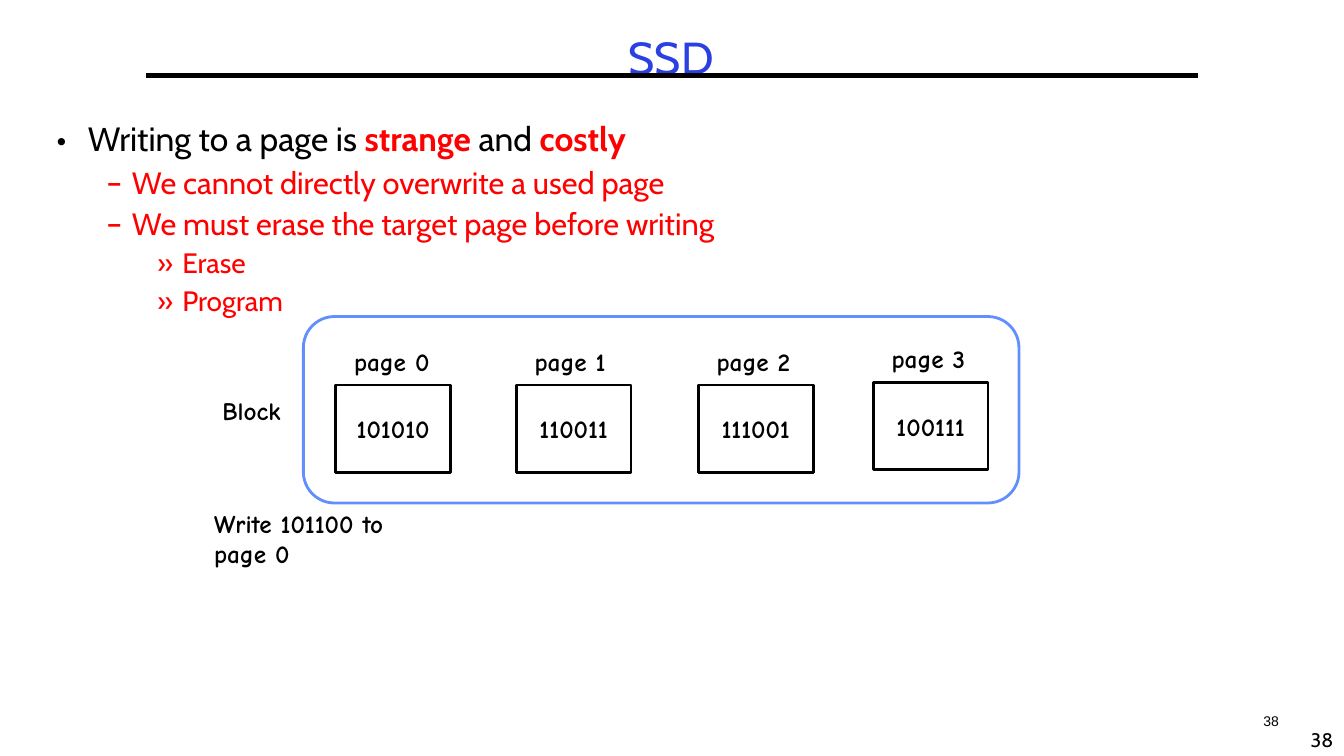
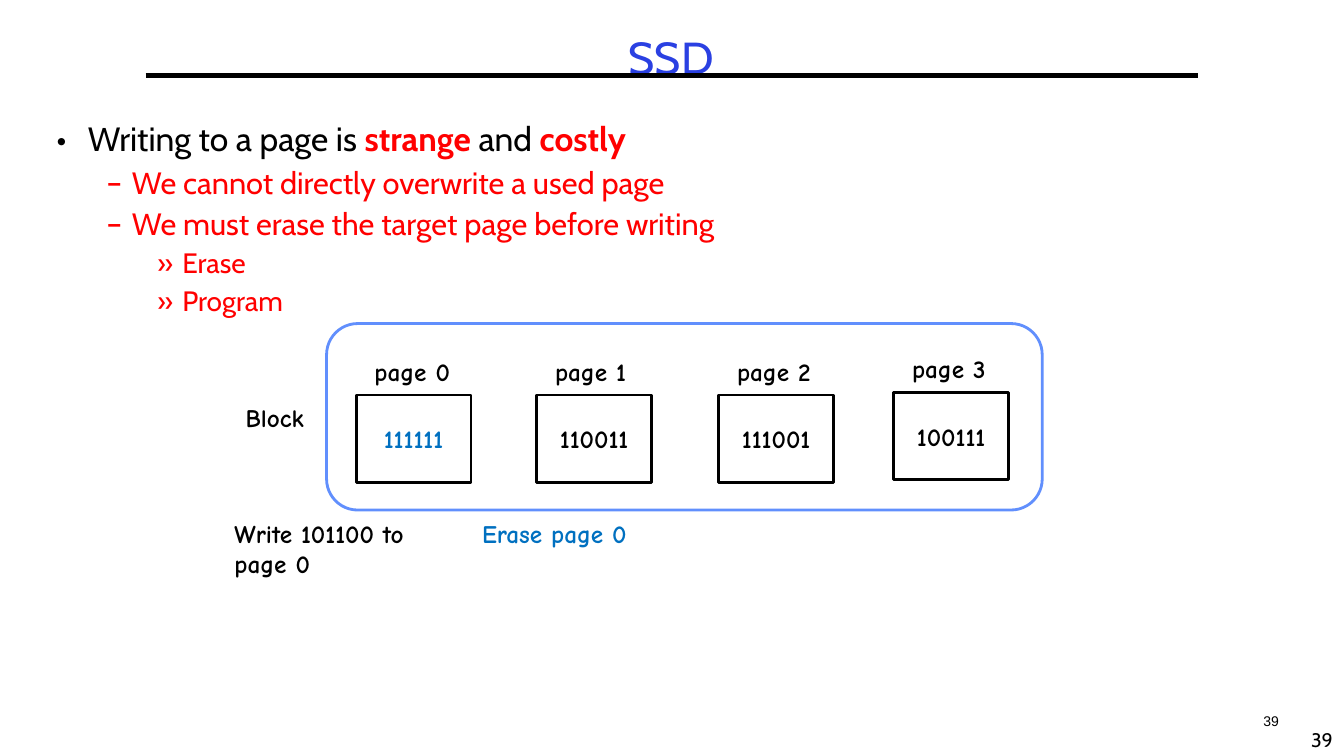
from lxml import etree
from pptx import Presentation
from pptx.dml.color import RGBColor
from pptx.enum import shapes, text
from pptx.oxml import ns
from pptx.util import Pt

BLACK = RGBColor(0x00, 0x00, 0x00)
WHITE = RGBColor(0xFF, 0xFF, 0xFF)
RED = RGBColor(0xFF, 0x00, 0x00)
TITLE_BLUE = RGBColor(0x2A, 0x40, 0xE2)
BLOCK_BLUE = RGBColor(0x61, 0x8F, 0xFD)
CHANGE_BLUE = RGBColor(0x00, 0x70, 0xC0)
MAIN_FONT = "Cabin"
DIAGRAM_FONT = "Comic Neue"
NUMBER_FONT = "Arial"

LEVELS = [("•", 22.5, 22.5, 24), ("–", 54, 18, 22), ("»", 90, 18, 20)]
POINTS = [
    (0, [("Writing to a page is ", BLACK, False), ("strange ", RED, True),
         ("and ", BLACK, False), ("costly", RED, True)]),
    (1, [("We cannot directly overwrite a used page", RED, False)]),
    (1, [("We must erase the target page before writing", RED, False)]),
    (2, [("Erase", RED, False)]),
    (2, [("Program", RED, False)]),
]
PAGE_OFFSETS = [(0, 0), (129, 0), (259, 0), (384, -2)]
PAGE_SIZE = (82, 62.6)
BLOCK_SIZE = (511.2, 133.2)


def place(part, left, top, width, height):
    part.left, part.top = Pt(left), Pt(top)
    part.width, part.height = Pt(width), Pt(height)


def add_run(paragraph, words, font, size, color=BLACK, bold=False):
    run = paragraph.add_run()
    run.text = words
    run.font.name = font
    run.font.size = Pt(size)
    run.font.color.rgb = color
    run.font.bold = bold


def add_label(slide, box, words, color=BLACK, font=DIAGRAM_FONT, size=18,
              bold=True, align=text.PP_ALIGN.LEFT, wrap=True):
    frame = slide.shapes.add_textbox(*map(Pt, box)).text_frame
    frame.word_wrap = wrap
    frame.paragraphs[0].alignment = align
    add_run(frame.paragraphs[0], words, font, size, color, bold)


def add_outline(slide, kind, box, color):
    outline = slide.shapes.add_shape(kind, *map(Pt, box))
    outline.shadow.inherit = False
    outline.fill.solid()
    outline.fill.fore_color.rgb = WHITE
    outline.line.color.rgb = color
    outline.line.width = Pt(2)
    return outline


def add_frame(slide, number):
    rule = slide.shapes.add_connector(shapes.MSO_CONNECTOR.STRAIGHT,
                                      Pt(104), Pt(54), Pt(856), Pt(54))
    rule.line.color.rgb = BLACK
    rule.line.width = Pt(3)
    etree.SubElement(rule._element.spPr, ns.qn("a:effectLst"))
    for box, font, size in [((928.8, 516.2, 31, 24), MAIN_FONT, 14),
                            ((890, 505.4, 36, 28.8), NUMBER_FONT, 10)]:
        add_label(slide, box, str(number), font=font, size=size, bold=False,
                  align=text.PP_ALIGN.CENTER, wrap=False)


def fill_title(title, box):
    place(title, *box)
    frame = title.text_frame
    frame.auto_size = text.MSO_AUTO_SIZE.NONE
    paragraph = frame.paragraphs[0]
    paragraph.alignment = text.PP_ALIGN.CENTER
    paragraph.line_spacing = 0.9
    add_run(paragraph, "SSD", MAIN_FONT, 32, TITLE_BLUE)


def fill_points(body, box):
    place(body, *box)
    frame = body.text_frame
    frame.auto_size = text.MSO_AUTO_SIZE.NONE
    for index, (level, runs) in enumerate(POINTS):
        paragraph = frame.add_paragraph() if index else frame.paragraphs[0]
        mark, margin, hanging, size = LEVELS[level]
        properties = paragraph._p.get_or_add_pPr()
        properties.set("marL", str(Pt(margin)))
        properties.set("indent", str(-Pt(hanging)))
        etree.SubElement(properties, ns.qn("a:buFont"), typeface=MAIN_FONT)
        etree.SubElement(properties, ns.qn("a:buChar"), char=mark)
        paragraph.level = level
        paragraph.line_spacing = 0.9
        paragraph.space_before = Pt(round(size * 0.27, 1) if index else 0)
        for words, color, bold in runs:
            add_run(paragraph, words, MAIN_FONT, size, color, bold)


def add_page(slide, left, top, index, bits, color):
    width, height = PAGE_SIZE
    page = add_outline(slide, shapes.MSO_SHAPE.RECTANGLE,
                       (left, top, width, height), BLACK)
    frame = page.text_frame
    frame.vertical_anchor = text.MSO_ANCHOR.MIDDLE
    frame.paragraphs[0].alignment = text.PP_ALIGN.CENTER
    add_run(frame.paragraphs[0], bits, DIAGRAM_FONT, 18, color, True)
    add_label(slide, (left + 6, top - 31, 73.4, 28.8), f"page {index}")


def add_block(slide, block_at, pages_at, contents, erased):
    left, top = block_at
    add_outline(slide, shapes.MSO_SHAPE.ROUNDED_RECTANGLE,
                (left, top, *BLOCK_SIZE), BLOCK_BLUE)
    add_label(slide, (left - 65, top + 52.6, 60, 28.8), "Block")
    left, top = pages_at
    for index, ((dx, dy), bits) in enumerate(zip(PAGE_OFFSETS, contents)):
        color = CHANGE_BLUE if erased and index == 0 else BLACK
        add_page(slide, left + dx, top + dy, index, bits, color)
    add_label(slide, (left - 94, top + 84.2, 137, 72.7),
              "Write 101100 to page 0")
    if erased:
        add_label(slide, (left + 82.8, top + 84.2, 130.3, 28.8),
                  "Erase page 0", CHANGE_BLUE)


def add_ssd_slide(deck, number, block_at, pages_at, first_page, erased):
    slide = deck.slides.add_slide(deck.slide_layouts[1])
    fill_title(slide.shapes.title, (33, 21.6, 893, 41.8))
    fill_points(slide.placeholders[1], (33, 84.2, 893, 404.6))
    add_frame(slide, number)
    add_block(slide, block_at, pages_at,
              [first_page, "110011", "111001", "100111"], erased)


def main():
    deck = Presentation()
    deck.slide_width, deck.slide_height = Pt(960), Pt(540)
    add_ssd_slide(deck, 38, (216.7, 226.1), (239.8, 275), "101010", False)
    add_ssd_slide(deck, 39, (233.3, 231.1), (254.4, 282.2), "111111", True)
    deck.save("out.pptx")


if __name__ == "__main__":
    main()
